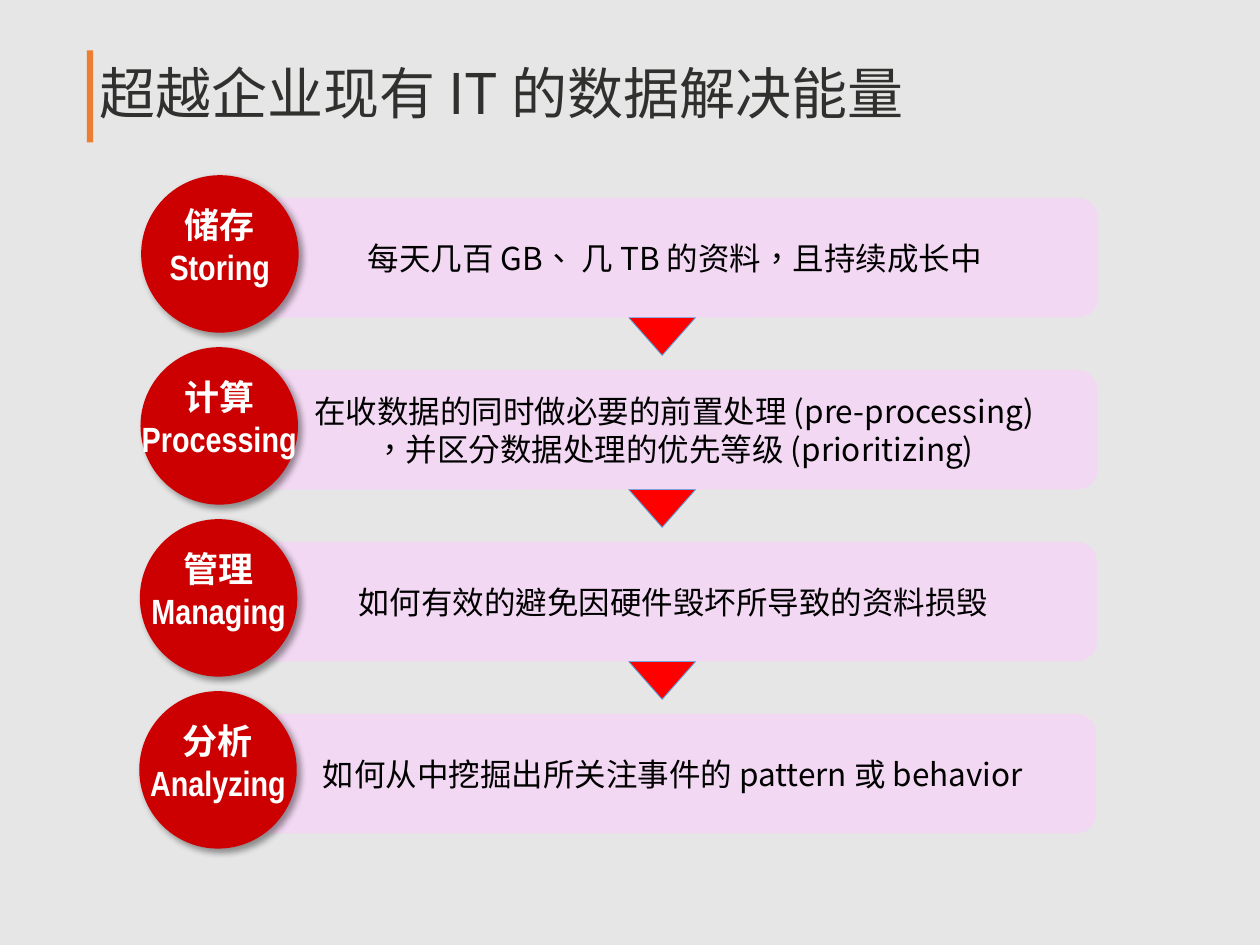
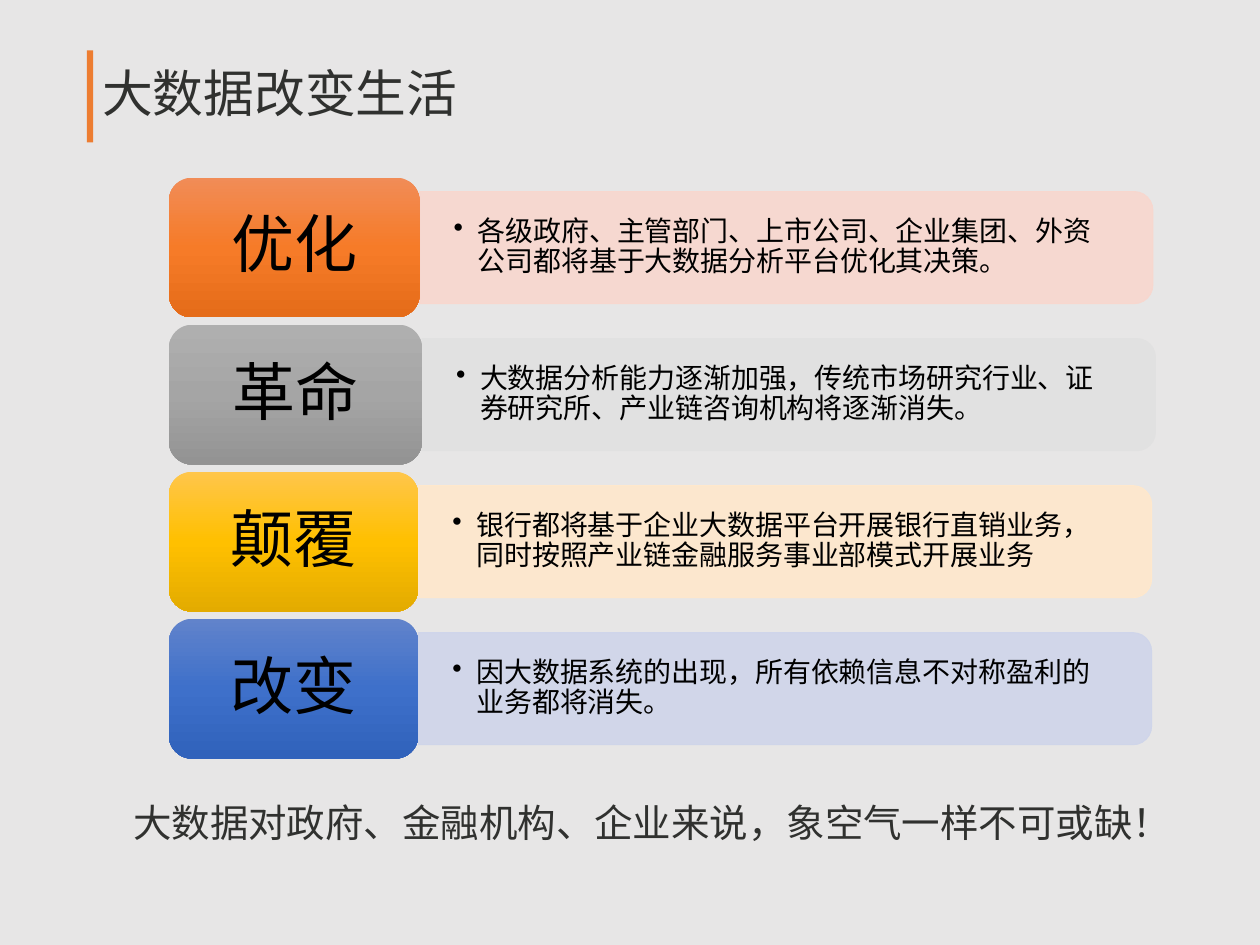
"""Builds two slides on the scale and the influence of big data."""
from copy import deepcopy

from lxml.etree import SubElement
from pptx import Presentation
from pptx.dml.color import RGBColor
from pptx.enum.shapes import MSO_SHAPE
from pptx.enum.text import MSO_ANCHOR, MSO_AUTO_SIZE, PP_ALIGN
from pptx.oxml.ns import qn
from pptx.util import Inches, Pt

COLUMNS, ROWS = 100, 75
SANS, NARROW = "Noto Sans CJK SC", "Arial Narrow"
BACKGROUND, ACCENT, INK = "E7E6E6", "ED7D31", "30312F"
BLACK, WHITE = "000000", "FFFFFF"

STAGES = [
    ("储存", "Storing", ["每天几百 GB、 几 TB 的资料，且持续成长中"]),
    ("计算", "Processing", ["在收数据的同时做必要的前置处理 (pre-processing)",
                          "，并区分数据处理的优先等级 (prioritizing)"]),
    ("管理", "Managing", ["如何有效的避免因硬件毁坏所导致的资料损毁"]),
    ("分析", "Analyzing", ["如何从中挖掘出所关注事件的 pattern 或 behavior"]),
]
CHANGES = [
    ("优化", "各级政府、主管部门、上市公司、企业集团、外资公司都将基于大数据分析平台优化其决策。",
     19.9, "F8D7CE", ("F18C57", "F67B28", "E56C19")),
    ("革命", "大数据分析能力逐渐加强，传统市场研究行业、证券研究所、产业链咨询机构将逐渐消失。",
     20.1, "E1E1E1", ("AFAFAF", "A5A5A5", "939393")),
    ("颠覆", "银行都将基于企业大数据平台开展银行直销业务，同时按照产业链金融服务事业部模式开展业务",
     19.8, "FFE8CC", ("FFC64B", "FFC000", "E3AB00")),
    ("改变", "因大数据系统的出现，所有依赖信息不对称盈利的业务都将消失。",
     19.8, "CFD5EA", ("6183CB", "3E70CA", "3062BB")),
]


def rgb(code):
    """Turn a hex string into a colour."""
    return RGBColor.from_string(code)


class Deck:
    """Holds the shared style and the current slide."""

    def __init__(self):
        """Start a 4:3 presentation with a plain background."""
        self.prs = Presentation()
        self.prs.slide_width, self.prs.slide_height = Inches(10), Inches(7.5)
        backdrop = self.prs.slide_master.background.fill
        backdrop.solid()
        backdrop.fore_color.rgb = rgb(BACKGROUND)
        self.slide = None

    def place(self, left, top, width, height):
        """Convert grid columns and rows to lengths."""
        column = self.prs.slide_width / COLUMNS
        row = self.prs.slide_height / ROWS
        return (round(left * column), round(top * row),
                round(width * column), round(height * row))

    def new_slide(self, heading, size, left):
        """Add a slide with its heading and accent bar."""
        self.slide = self.prs.slides.add_slide(self.prs.slide_layouts[5])
        title = self.slide.shapes.title
        title.left, title.top, title.width, title.height = self.place(
            left, 4, 93.1 - left, 7.3)
        self.set_text(title, [heading], size, INK, align=PP_ALIGN.LEFT, spacing=0.9)
        self.shape(MSO_SHAPE.RECTANGLE, (6.9, 4, 0.5, 7.3), ACCENT)

    def shape(self, kind, box, fill=None, alpha=None, line=None, rotation=0):
        """Add a preset shape without a theme shadow."""
        shape = self.slide.shapes.add_shape(kind, *self.place(*box))
        shape.shadow.inherit = False
        shape.rotation = rotation
        if fill:
            shape.fill.solid()
            shape.fill.fore_color.rgb = rgb(fill)
        if alpha:
            tint = shape._element.spPr.find(qn("a:solidFill")).find(qn("a:srgbClr"))
            SubElement(tint, qn("a:alpha"), val=str(alpha * 1000))
        if line:
            shape.line.color.rgb = rgb(line)
            shape.line.width = Pt(0.5)
        else:
            shape.line.fill.background()
        return shape

    def gradient_block(self, box, colours):
        """Add a rounded block with an even top-down gradient."""
        block = self.shape(MSO_SHAPE.ROUNDED_RECTANGLE, box)
        block.fill.gradient()
        block.fill.gradient_angle = 270
        stops = block._element.spPr.find(qn("a:gradFill")).find(qn("a:gsLst"))
        stops.append(deepcopy(stops[-1]))
        for index, (stop, colour) in enumerate(zip(block.fill.gradient_stops, colours)):
            stop.position = index / (len(colours) - 1)
            stop.color.rgb = rgb(colour)
        return block

    def disc(self, box, fill):
        """Add a circle with a soft shadow to the lower right."""
        circle = self.shape(MSO_SHAPE.OVAL, box, fill)
        effects = circle._element.spPr.find(qn("a:effectLst"))
        shadow = SubElement(effects, qn("a:outerShdw"), blurRad=str(Pt(4)),
                            dist=str(Pt(3)), dir="2700000", algn="tl", rotWithShape="0")
        colour = SubElement(shadow, qn("a:srgbClr"), val=BLACK)
        SubElement(colour, qn("a:alpha"), val="40000")

    def text(self, box, lines, size, colour, **style):
        """Add a text box."""
        self.set_text(self.slide.shapes.add_textbox(*self.place(*box)),
                      lines, size, colour, **style)

    def set_text(self, shape, lines, size, colour, font=SANS, bold=False,
                 align=PP_ALIGN.CENTER, anchor=MSO_ANCHOR.MIDDLE, spacing=1.0,
                 insets=(0.1, 0.05), bullet=False, wrap=True, lang="zh-CN"):
        """Fill a shape with paragraphs in one style."""
        frame = shape.text_frame
        frame.auto_size = MSO_AUTO_SIZE.NONE
        frame.word_wrap = wrap
        frame.vertical_anchor = anchor
        frame.margin_left = frame.margin_right = Inches(insets[0])
        frame.margin_top = frame.margin_bottom = Inches(insets[1])
        frame.text = "\n".join(lines)
        for paragraph in frame.paragraphs:
            paragraph.alignment = align
            paragraph.line_spacing = spacing
            properties = paragraph._p.get_or_add_pPr()
            if bullet:
                properties.set("marL", str(Inches(0.19)))
                properties.set("indent", str(-Inches(0.19)))
                SubElement(properties, qn("a:buChar"), char="•")
            paragraph.font.size = Pt(size)
            paragraph.font.bold = bold
            paragraph.font.name = font
            paragraph.font.color.rgb = rgb(colour)
            defaults = properties.find(qn("a:defRPr"))
            defaults.set("lang", lang)
            SubElement(defaults, qn("a:ea"), typeface=font)


def stages_slide(deck):
    """Show the four stages of handling data, linked by pointers."""
    deck.new_slide("超越企业现有 IT 的数据解决能量", 32, 6.9)
    pitch, bar_height, disc_size = 13.65, 9.5, 12.5
    for index, (stage, english, description) in enumerate(STAGES):
        bar_top = 15.7 + index * pitch
        disc_left, disc_top = 11.2 - index * 0.05, bar_top - 1.8
        if index < len(STAGES) - 1:
            deck.shape(MSO_SHAPE.ISOSCELES_TRIANGLE,
                       (49.9, bar_top + bar_height, 5.3, 3),
                       "FF0000", line="5B9BD5", rotation=180)
        bar = deck.shape(MSO_SHAPE.ROUNDED_RECTANGLE,
                         (disc_left + 8.75, bar_top, 67.2, bar_height), "FFCCFF", 52)
        deck.set_text(bar, description, 18, BLACK, lang="zh-TW")
        deck.disc((disc_left, disc_top, disc_size, disc_size), "CC0000")
        deck.text((disc_left - 1, disc_top + 1.75, disc_size + 2, 7.7),
                  [stage, english], 20, WHITE, font=NARROW, bold=True,
                  anchor=MSO_ANCHOR.TOP, insets=(0, 0.05))


def changes_slide(deck):
    """Show four ways in which big data changes life."""
    deck.new_slide("大数据改变生活", 29, 7.1)
    pitch, block_left, block_height = 11.67, 13.4, 11.1
    band_length, band_height = 58.2, 8.9
    for index, (change, effect, width, tint, gradient) in enumerate(CHANGES):
        top = 14.1 + index * pitch
        middle = top + block_height / 2
        band_left = block_left + width
        deck.shape(MSO_SHAPE.ROUND_2_SAME_RECTANGLE,
                   (band_left + (band_length - band_height) / 2,
                    middle - band_length / 2, band_height, band_length),
                   tint, 90, line=tint, rotation=90)
        deck.text((band_left, middle - 4, 57.8, 8), [effect], 16, BLACK,
                  align=PP_ALIGN.LEFT, spacing=0.9, insets=(0.27, 0.14), bullet=True)
        block = deck.gradient_block((block_left, top, width, block_height), gradient)
        deck.set_text(block, [change], 36, BLACK, spacing=0.9)
    deck.text((9.6, 62.9, 85.7, 4.7), ["大数据对政府、金融机构、企业来说，象空气一样不可或缺！"],
              22, INK, align=PP_ALIGN.LEFT, anchor=MSO_ANCHOR.TOP, wrap=False)


def main():
    """Build and save the slides."""
    deck = Deck()
    stages_slide(deck)
    changes_slide(deck)
    deck.prs.save("out.pptx")


if __name__ == "__main__":
    main()
